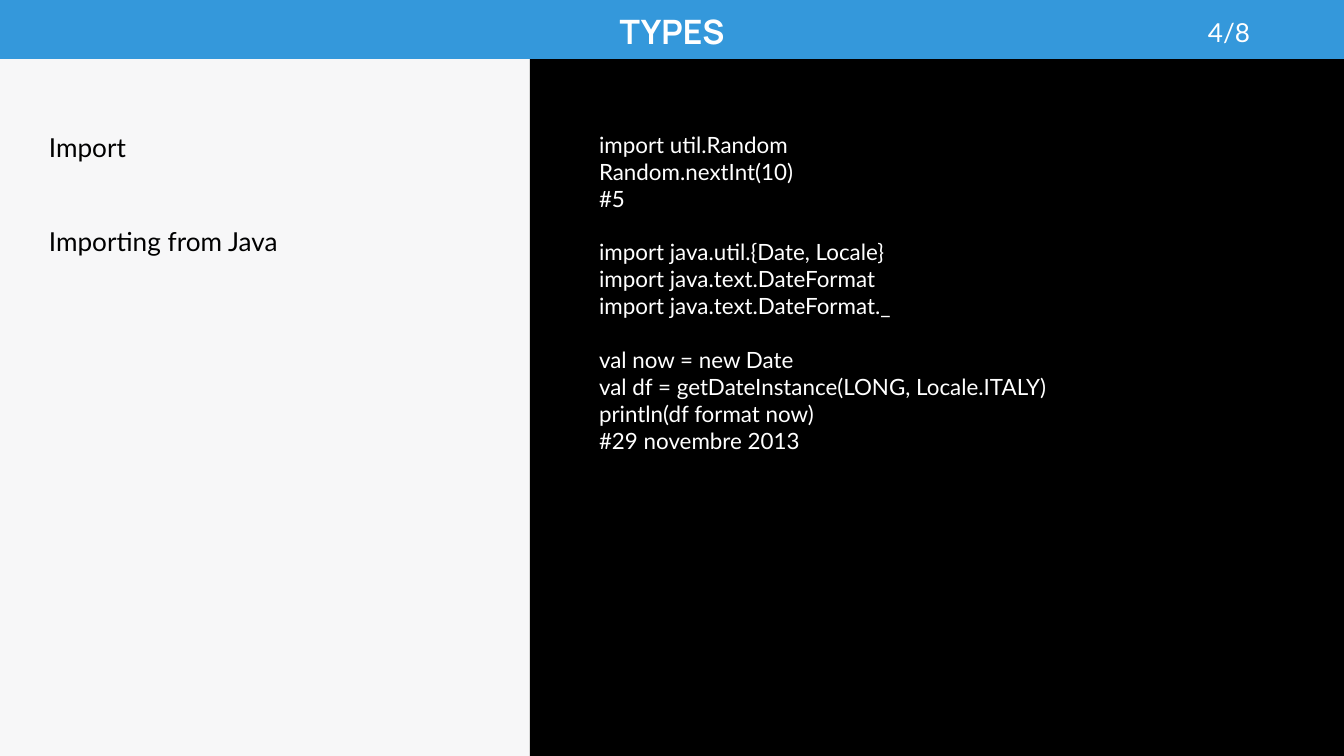
from pptx import Presentation
from pptx.dml.color import RGBColor
from pptx.enum.shapes import MSO_SHAPE
from pptx.enum.text import MSO_ANCHOR, PP_ALIGN
from pptx.util import Pt

RECTANGLE = MSO_SHAPE.RECTANGLE
TOP, BOTTOM = MSO_ANCHOR.TOP, MSO_ANCHOR.BOTTOM
LEFT, CENTER = PP_ALIGN.LEFT, PP_ALIGN.CENTER

WIDTH, HEIGHT = 1344, 756
SCALE = 9144000 / WIDTH
INSET = 13
HEADER_HEIGHT = 59
CODE_LEFT = 530
TEXT_TOP = 118
LINE_FACTOR = 1.2

WHITE, BLACK, BLUE, PALE = "FFFFFF", "000000", "3498DB", "F7F7F8"

TOPICS = [["Import"], ["Importing from Java"]]
CODE = [
    ["import util.Random", "Random.nextInt(10)", "#5"],
    [
        "import java.util.{Date, Locale}",
        "import java.text.DateFormat",
        "import java.text.DateFormat._",
    ],
    [
        "val now = new Date",
        "val df = getDateInstance(LONG, Locale.ITALY)",
        "println(df format now)",
        "#29 novembre 2013",
    ],
]


def px(length):
    """Turn pixels into EMU."""
    return round(length * SCALE)


def color(value):
    """Turn a hex string into a colour."""
    return RGBColor.from_string(value)


def set_values(target, values):
    """Set attributes from a dict of format values."""
    for name, value in values.items():
        setattr(target, name, value)


def add_panel(page, area, fill):
    """Add a plain filled rectangle."""
    panel = page.shapes.add_shape(RECTANGLE, *map(px, area))
    panel.shadow.inherit = False
    panel.fill.solid()
    panel.fill.fore_color.rgb = color(fill)
    panel.line.fill.background()


def add_text(page, area, groups, size, ink, font="Lato", bold=False,
             align=LEFT, anchor=TOP, gap_lines=1):
    """Add groups of lines, set apart by a gap counted in lines."""
    frame = page.shapes.add_textbox(*map(px, area)).text_frame
    sides = ("left", "top", "right", "bottom")
    set_values(frame, {f"margin_{side}": px(INSET) for side in sides})
    set_values(frame, {"word_wrap": True, "vertical_anchor": anchor})
    gap = Pt(size * LINE_FACTOR * gap_lines)
    para = None
    for group in groups:
        for index, line in enumerate(group):
            first = para is None
            para = frame.paragraphs[0] if first else frame.add_paragraph()
            before = gap if index == 0 and not first else Pt(0)
            set_values(para, {"alignment": align, "space_before": before})
            span = para.add_run()
            span.text = line
            set_values(span.font, {"name": font, "size": Pt(size), "bold": bold})
            span.font.color.rgb = color(ink)


def main():
    """Build and save the slide."""
    deck = Presentation()
    set_values(deck, {"slide_width": px(WIDTH), "slide_height": px(HEIGHT)})
    page = deck.slides.add_slide(deck.slide_layouts[6])
    page.background.fill.solid()
    page.background.fill.fore_color.rgb = color(PALE)

    code_area = (CODE_LEFT, HEADER_HEIGHT, WIDTH - CODE_LEFT, HEIGHT - HEADER_HEIGHT)
    add_panel(page, code_area, BLACK)
    add_panel(page, (0, 0, WIDTH, HEADER_HEIGHT), BLUE)

    add_text(page, (0, 5, WIDTH, HEADER_HEIGHT), [["TYPES"]], 18, WHITE,
             font="Manrope", bold=True, align=CENTER, anchor=BOTTOM)
    add_text(page, (586, TEXT_TOP, 704, 624), CODE, 12, WHITE)
    add_text(page, (36, TEXT_TOP, 538, 583), TOPICS, 14, BLACK, gap_lines=2)
    add_text(page, (1195, 3, 149, 67), [["4/8"]], 14, WHITE)
    deck.save("out.pptx")


if __name__ == "__main__":
    main()
